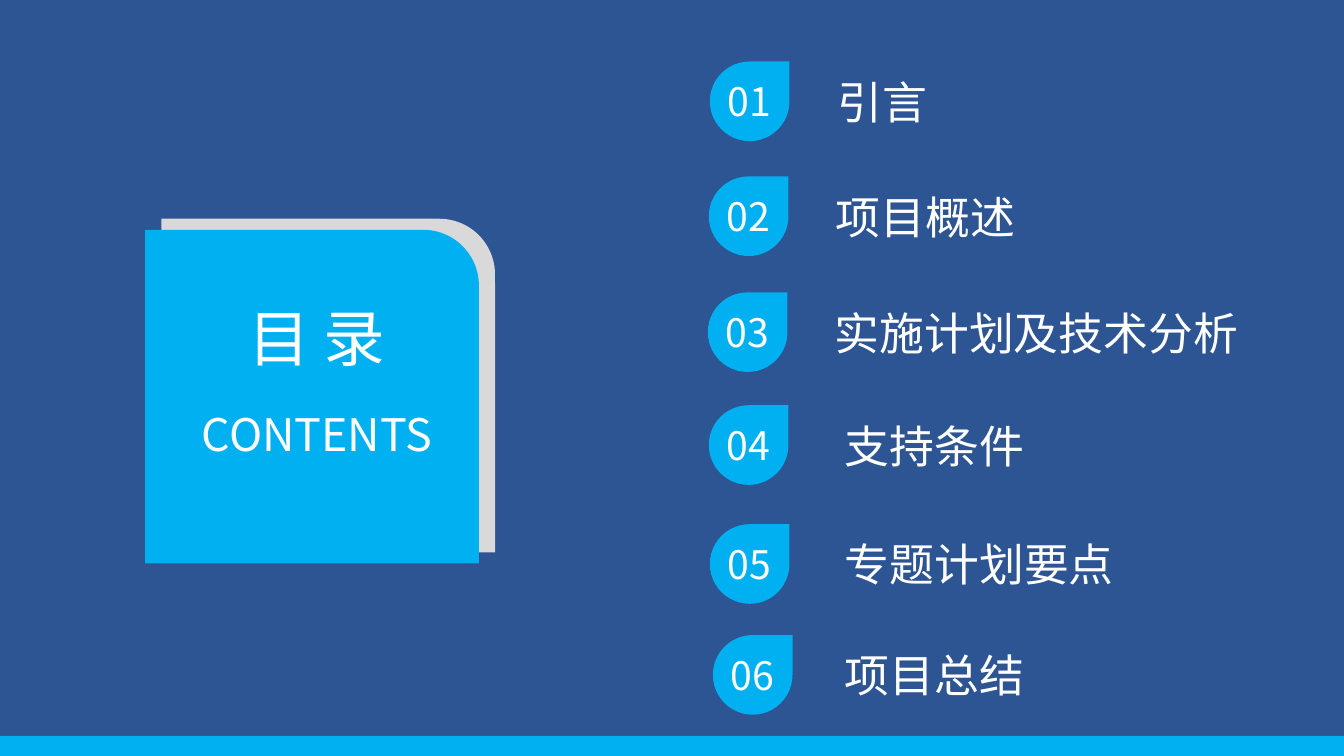
from dataclasses import dataclass

from lxml.etree import SubElement
from pptx import Presentation
from pptx.dml.color import RGBColor
from pptx.enum.shapes import MSO_SHAPE
from pptx.enum.text import MSO_ANCHOR, MSO_AUTO_SIZE, PP_ALIGN
from pptx.oxml.ns import qn
from pptx.shapes.autoshape import Shape
from pptx.slide import Slide
from pptx.util import Emu, Pt

EMU_PER_PX = 9144  # 100 px to the inch


@dataclass(frozen=True)
class Theme:
    navy: str = "2D5493"
    cyan: str = "00B0F0"
    grey: str = "D9D9D9"
    white: str = "FFFFFF"
    font: str = "Noto Sans CJK SC"
    title_size: int = 44
    body_size: int = 32
    number_size: int = 28


@dataclass(frozen=True)
class Box:
    left: int
    top: int
    width: int
    height: int

    def emu(self) -> list[Emu]:
        return [px(n) for n in (self.left, self.top, self.width, self.height)]


@dataclass(frozen=True)
class Chapter:
    title: str
    drop_left: int
    drop_top: int
    title_left: int
    title_width: int


THEME = Theme()
PAGE = Box(0, 0, 1333, 750)
DROP_SIZE = 79
TITLE_HEIGHT = 64
TITLE_OFFSET = 8  # title top below drop top

CHAPTERS = [
    Chapter("引言", 704, 61, 821, 369),
    Chapter("项目概述", 703, 175, 819, 370),
    Chapter("实施计划及技术分析", 702, 290, 818, 442),
    Chapter("支持条件", 703, 402, 828, 340),
    Chapter("专题计划要点", 704, 520, 828, 307),
    Chapter("项目总结", 707, 630, 828, 259),
]


def px(count: int) -> Emu:
    return Emu(count * EMU_PER_PX)


def write(shape: Shape, text: str, size: int, align: PP_ALIGN, frame_format: dict) -> None:
    frame = shape.text_frame
    for name, value in frame_format.items():
        setattr(frame, name, value)
    para = frame.paragraphs[0]
    para.alignment = align
    span = para.add_run()
    span.text = text
    for name, value in {"name": THEME.font, "size": Pt(size)}.items():
        setattr(span.font, name, value)
    span.font.color.rgb = RGBColor.from_string(THEME.white)
    # East Asian glyphs take their own typeface entry
    SubElement(span.font._element, qn("a:ea"), typeface=THEME.font)


def add_block(page: Slide, kind: MSO_SHAPE, box: Box, color: str) -> Shape:
    shape = page.shapes.add_shape(kind, *box.emu())
    shape.shadow.inherit = False
    shape.fill.solid()
    shape.fill.fore_color.rgb = RGBColor.from_string(color)
    shape.line.fill.background()
    return shape


def add_label(page: Slide, box: Box, text: str, size: int, align: PP_ALIGN) -> None:
    label = page.shapes.add_textbox(*box.emu())
    write(label, text, size, align,
          {"word_wrap": True, "auto_size": MSO_AUTO_SIZE.SHAPE_TO_FIT_TEXT})


def add_chapter(page: Slide, number: int, chapter: Chapter) -> None:
    drop_box = Box(chapter.drop_left, chapter.drop_top, DROP_SIZE, DROP_SIZE)
    drop = add_block(page, MSO_SHAPE.TEAR, drop_box, THEME.cyan)
    write(drop, f"{number:02d}", THEME.number_size, PP_ALIGN.CENTER, {
        "vertical_anchor": MSO_ANCHOR.MIDDLE,
        "margin_left": px(4), "margin_right": px(4),
        "margin_top": px(5), "margin_bottom": px(5),
    })
    title_box = Box(chapter.title_left, chapter.drop_top + TITLE_OFFSET,
                    chapter.title_width, TITLE_HEIGHT)
    add_label(page, title_box, chapter.title, THEME.body_size, PP_ALIGN.LEFT)


def main() -> None:
    deck = Presentation()
    deck.slide_width, deck.slide_height = px(PAGE.width), px(PAGE.height)
    page = deck.slides.add_slide(deck.slide_layouts[6])

    # Backdrop and footer band
    add_block(page, MSO_SHAPE.RECTANGLE, PAGE, THEME.navy)
    add_block(page, MSO_SHAPE.RECTANGLE, Box(0, 730, PAGE.width, 20), THEME.cyan)

    # Heading card with its grey backing
    for box, color in ((Box(160, 217, 331, 331), THEME.grey),
                       (Box(144, 228, 331, 331), THEME.cyan)):
        add_block(page, MSO_SHAPE.ROUND_1_RECTANGLE, box, color)
    add_label(page, Box(153, 293, 322, 84), "目 录", THEME.title_size, PP_ALIGN.CENTER)
    add_label(page, Box(111, 399, 407, 64), "CONTENTS", THEME.body_size, PP_ALIGN.CENTER)

    # Chapter list
    for number, chapter in enumerate(CHAPTERS, start=1):
        add_chapter(page, number, chapter)

    deck.save("out.pptx")


if __name__ == "__main__":
    main()
